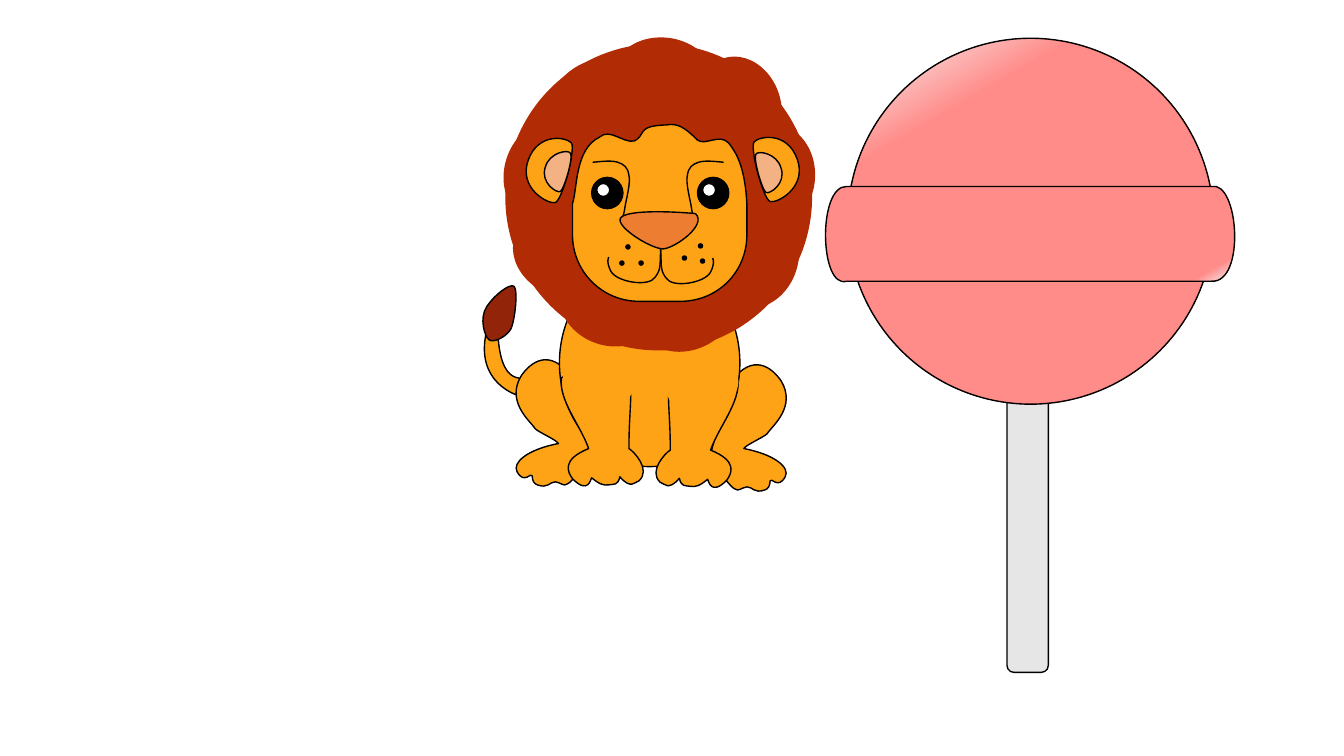
"""Draw a sitting lion beside a large lollipop on one blank page."""
from collections import namedtuple
from dataclasses import dataclass
from math import cos, radians, sin

from lxml import etree
from pptx import Presentation
from pptx import util as u
from pptx.dml.color import RGBColor
from pptx.enum import shapes
from pptx.oxml.ns import qn

Box = namedtuple("Box", "left top width height")
Mirror = namedtuple("Mirror", "axis drop")
GRID = 0.72
OVAL = shapes.MSO_SHAPE.OVAL
TAGS = {"M": "a:moveTo", "L": "a:lnTo", "C": "a:cubicBezTo", "Z": "a:close"}


@dataclass(frozen=True)
class Theme:
    """Hold the colours and the outline width."""
    ink: str = "000000"
    white: str = "FFFFFF"
    coat: str = "FFA316"
    mane: str = "B12C05"
    tuft: str = "912409"
    inner_ear: str = "F4B183"
    nose: str = "ED7D31"
    stick: str = "E7E6E6"
    candy: str = "FF8C89"
    shine: str = "F6F8FC"
    outline: float = 1


THEME = Theme()


def place(box, frame):
    """Turn a frame in grid steps into page lengths inside a box."""
    left, top, width, height = (GRID * step for step in frame)
    return Box(*(u.Pt(n) for n in (box.left + left, box.top + top, width, height)))


def finish(shape, fill, line, turn=0):
    """Give a shape its fill, outline and rotation."""
    for brush, colour in ((shape.fill, fill), (shape.line.fill, line)):
        if colour is None:
            brush.background()
        else:
            brush.solid()
            brush.fore_color.rgb = RGBColor.from_string(colour)
    formats = {"shape": {"rotation": turn % 360},
               "line": {"width": u.Pt(THEME.outline)},
               "shadow": {"inherit": False}}
    targets = {"shape": shape, "line": shape.line, "shadow": shape.shadow}
    for part, values in formats.items():
        for key, value in values.items():
            setattr(targets[part], key, value)
    return shape


def preset(group, box, frame, fill, line=THEME.ink, turn=0, kind=OVAL):
    """Add a preset shape."""
    shape = group.shapes.add_shape(kind, *place(box, frame))
    return finish(shape, fill, line, turn)


def curve(group, box, frame, trail, fill=None, turn=0, mirror=None):
    """Add a curved outline, reflected across an axis when a mirror is given."""
    frame = Box(*frame)
    if mirror:
        frame = frame._replace(left=mirror.axis - frame.left - frame.width,
                               top=frame.top + mirror.drop)
        turn = -turn
    left, top, width, height = place(box, frame)
    builder = group.shapes.build_freeform(left, top, 1.0)
    builder.add_line_segments([(left + width, top), (left + width, top + height),
                               (left, top + height)], close=True)
    shape = builder.convert_to_shape()
    outline = shape._element.find(".//" + qn("a:path"))
    for child in list(outline):
        outline.remove(child)
    half_x, half_y = frame.width / 2, frame.height / 2
    cosine, sine = cos(radians(turn)), sin(radians(turn))
    for token in trail.split():
        if token in TAGS:
            command = token
            if command != "C":
                step = etree.SubElement(outline, qn(TAGS[command]))
            continue
        if command == "C" and (step.tag != qn(TAGS["C"]) or len(step) == 3):
            step = etree.SubElement(outline, qn(TAGS["C"]))
        x, y = map(float, token.split(","))
        if mirror:
            x, y = mirror.axis - x, y + mirror.drop
        x, y = x - frame.left - half_x, y - frame.top - half_y
        local = {"x": x * cosine + y * sine + half_x, "y": y * cosine - x * sine + half_y}
        etree.SubElement(step, qn("a:pt"),
                         {key: str(int(u.Pt(GRID * value))) for key, value in local.items()})
    return finish(shape, fill, THEME.ink, turn)


def draw_back(group, box):
    """Draw the hind legs, tail and body."""
    hind_leg = ("M 165,375 C 165,372 166,369 163,369 C 141,344 123,364 117,373 "
                "C 102,398 125,417 130,424 C 130,427 152,436 154,440 C 123,446 108,459 113,468 "
                "C 120,481 127,468 128,472 C 128,477 130,480 133,481 C 144,485 145,478 151,478 "
                "C 157,479 159,483 163,480 C 166,480 187,453 187,449 C 187,433 165,391 165,375 Z")
    hind_frame = (112, 357, 75, 125)
    curve(group, box, hind_frame, hind_leg, THEME.coat, mirror=Mirror(492, 5))
    curve(group, box, (85, 327, 34, 74),
          "M 120,394 C 109,392 73,378 82,332 L 94,332 C 98,394 126,368 131,378 "
          "C 132,379 126,392 125,392 L 120,398 C 119,399 120,395 120,394 Z",
          THEME.coat, -44.3)
    curve(group, box, (81, 282, 32, 58),
          "M 107,326 C 111,317 114,288 110,284 C 106,281 91,292 83,304 "
          "C 75,316 81,334 85,337 C 89,341 103,334 107,326 Z", THEME.tuft, 34)
    curve(group, box, hind_frame, hind_leg, THEME.coat)
    preset(group, box, (155, 257, 179, 206), THEME.coat)


def draw_mane(group, box):
    """Draw the round mane and the locks along its edge."""
    locks = [(102, 44, 303, 303, 0), (155, 261, 99, 81, 19.4), (231, 266, 99, 81, -21.7),
             (301, 216, 99, 81, -70.6), (318, 133, 99, 81, -90), (284, 65, 99, 81, -108.4),
             (108, 212, 99, 81, 25.6), (91, 130, 99, 78, -70.6), (137, 66, 99, 78, -49),
             (209, 38, 99, 78, 7.1)]
    for *frame, turn in locks:
        preset(group, box, frame, THEME.mane, THEME.mane, turn)


def draw_face(group, box):
    """Draw the head, eyes, whisker dots, brows, mouth, ears and nose."""
    curve(group, box, (168, 123, 173, 176),
          "M 168,202 C 173,188 170,148 195,136 C 205,127 218,142 229,140 "
          "C 242,134 230,125 261,124 C 272,122 279,126 292,139 C 300,145 314,132 323,142 "
          "C 331,152 339,166 341,202 L 341,233 C 341,270 312,299 275,299 L 234,299 "
          "C 198,299 168,270 168,233 L 168,202 Z", THEME.coat)
    for left in (187, 292):
        preset(group, box, (left, 176, 31, 31), THEME.ink)
        preset(group, box, (left + 5, 182, 13, 13), THEME.white)
    for left, top in ((295, 257), (277, 254), (293, 242), (234, 259), (215, 259), (221, 243)):
        preset(group, box, (left, top, 4, 4), THEME.ink)
    pairs = [
        ((188, 160, 37, 58),
         "M 188,161 C 198,160 207,159 213,161 C 219,163 223,166 224,174 "
         "C 226,181 221,199 220,206 C 219,214 217,217 217,217", None, 0, Mirror(506, 0)),
        ((203, 242, 53, 39),
         "M 256,242 C 254,262 257,266 250,275 C 244,285 212,280 206,269 "
         "C 201,259 204,255 204,255", None, 0, Mirror(511, 1)),
        ((122, 135, 42, 64),
         "M 124,159 C 134,131 162,136 167,142 C 171,149 158,198 151,201 "
         "C 144,203 114,187 124,159 Z", THEME.coat, 14.6, Mirror(515, -1)),
        ((140, 148, 24, 41),
         "M 141,166 C 145,151 164,148 166,152 C 169,156 160,187 156,190 "
         "C 152,192 136,181 141,166 Z", THEME.inner_ear, 14.6, Mirror(516, 1))]
    for frame, trail, fill, turn, mirror in pairs:
        for side in (None, mirror):
            curve(group, box, frame, trail, fill, turn, side)
    curve(group, box, (215, 210, 78, 37),
          "M 217,215 C 206,222 245,247 258,247 C 270,246 302,223 290,212 "
          "C 282,211 228,207 217,215 Z", THEME.nose)


def draw_forelegs(group, box):
    """Draw the front legs and the shoulders that cover their tops."""
    for side in (None, Mirror(489, 1.5)):
        curve(group, box, (157, 373, 81, 109),
              "M 226,377 C 226,374 214,373 210,373 L 187,373 C 183,373 157,372 157,375 "
              "C 154,397 176,422 184,445 C 157,456 163,468 168,475 C 184,491 186,475 187,474 "
              "C 194,480 199,482 204,481 C 209,480 213,482 215,473 C 226,486 230,478 234,477 "
              "C 246,466 229,448 224,445 C 224,415 226,407 226,377 Z", THEME.coat, mirror=side)
    for left, top, turn in ((159, 350, 7.3), (260, 355, -7.3)):
        preset(group, box, (left, top, 72, 52), THEME.coat, THEME.coat, turn)


def draw_lollipop(group, box):
    """Draw the stick, the round candy and its band."""
    preset(group, box, (199, 372, 41, 295), THEME.stick, kind=shapes.MSO_SHAPE.ROUNDED_RECTANGLE)
    candy = preset(group, box, (41, 38, 363, 363), THEME.candy)
    band = curve(group, box, (19, 185, 406, 95),
                 "M 40,279 C 13,287 11,184 40,185 L 402,185 C 429,179 436,281 402,279 "
                 "L 40,279 Z", THEME.candy)
    for shape, stops in ((candy, ((0, THEME.shine), (0.23, THEME.candy))),
                         (band, ((0.92, THEME.candy), (1, THEME.shine)))):
        shape.fill.gradient()
        shape.fill.gradient_angle = 300
        for stop, (position, colour) in zip(shape.fill.gradient_stops, stops):
            stop.position = position
            stop.color.rgb = RGBColor.from_string(colour)


def main():
    """Build the page and save the deck."""
    deck = Presentation()
    deck.slide_width, deck.slide_height = u.Pt(960), u.Pt(540)
    page = deck.slides.add_slide(deck.slide_layouts[6])
    scenes = [(Box(288, 0, 324, 360), (draw_back, draw_mane, draw_face, draw_forelegs)),
              (Box(576, 0, 324, 504), (draw_lollipop,))]
    for box, regions in scenes:
        group = page.shapes.add_group_shape()
        for draw in regions:
            draw(group, box)
    deck.save("out.pptx")


if __name__ == "__main__":
    main()
